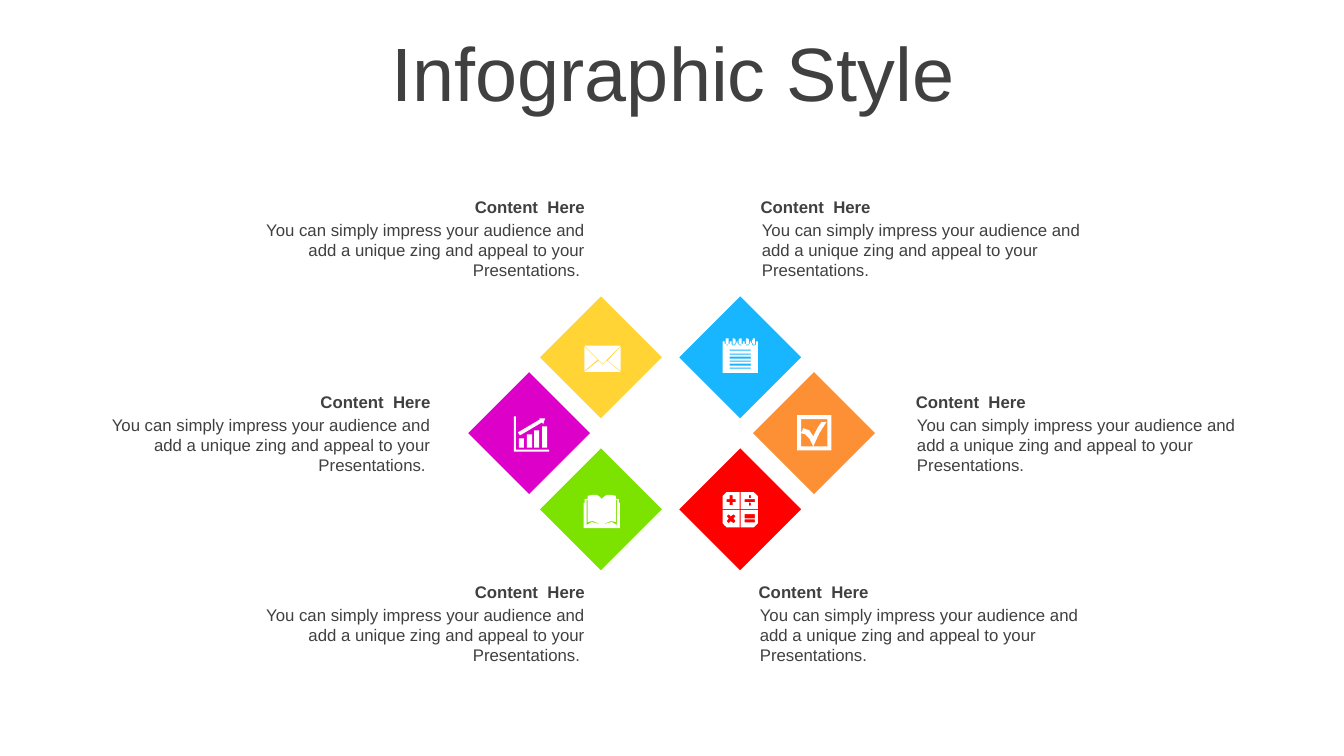
from math import cos, radians, sin

from pptx import Presentation
from pptx.dml.color import RGBColor
from pptx.enum.shapes import MSO_SHAPE
from pptx.enum.text import MSO_ANCHOR, PP_ALIGN
from pptx.util import Cm, Pt

DIAMOND = MSO_SHAPE.DIAMOND
TOP, MIDDLE = MSO_ANCHOR.TOP, MSO_ANCHOR.MIDDLE
LEFT, CENTER, RIGHT = PP_ALIGN.LEFT, PP_ALIGN.CENTER, PP_ALIGN.RIGHT

COLORS = {
    "ink": "404040", "white": "FFFFFF", "yellow": "FFD434", "blue": "17B6FF",
    "orange": "FD9034", "red": "FF0000", "green": "7CE200", "magenta": "DC00C8",
}
HEADING = "Content  Here"
BODY = ("You can simply impress your audience and add a unique zing "
        "and appeal to your Presentations.")
ICON_UNIT = Cm(2.54) / 100


def block(x, y, width, height):
    return [(x, y), (x + width, y), (x + width, y + height), (x, y + height)]


def arc(x, y, radius, start, sweep, steps=8):
    angles = [radians(start + sweep * step / steps) for step in range(steps + 1)]
    return [(x + radius * cos(angle), y + radius * sin(angle)) for angle in angles]


def envelope():
    return [
        [(22, 15), (36, 26), (0, 26), (14, 15), (18, 19)],
        [(36, 1), (36, 25), (23, 15)],
        [(0, 1), (13, 14), (0, 25)],
        [(0, 0), (36, 0), (18, 18)],
    ]


def notepad():
    ring_lefts = [3 + 6.6 * ring for ring in range(5)]
    sheet = [(0, 3)]
    for x in ring_lefts:
        sheet += [(x - 1, 3), *arc(x + 1.5, 4.5, 2.5, 180, -180), (x + 4, 3)]
    sheet += [(35, 3), (35, 34.5), (0, 34.5)]
    rings = [arc(x + 1.5, 1.5, 1.5, 180, 180) + arc(x + 1.5, 4.5, 1.5, 0, 180)
             for x in ring_lefts]
    rows = [block(7, 11 + 3.6 * row, 20.5, 1.4) for row in range(6)]
    return [sheet, *rings, *rows]


def bar_chart():
    bars = [block(5 + 7.7 * bar, 22 - 4 * bar, 5, 9 + 4 * bar) for bar in range(4)]
    arrow = [(25, 2), (31, 2), (29, 8), (28, 6), (6, 19), (4, 16), (26, 3)]
    axes = [(0, 0), (2, 0), (2, 33), (35, 33), (35, 35), (0, 35)]
    return [*bars, arrow, axes]


def calculator():
    key = arc(6, 6, 6, 180, 90) + [(17, 0), (17, 17), (0, 17)]
    keys = [[(35 - x if flip_x else x, 35 - y if flip_y else y) for x, y in key]
            for flip_x in (False, True) for flip_y in (False, True)]
    plus = [(7, 3), (10, 3), (10, 7), (13, 7), (13, 10), (10, 10),
            (10, 13), (7, 13), (7, 10), (4, 10), (4, 7), (7, 7)]
    times = [(6, 22), (4, 24), (6, 26.5), (4, 29), (6, 31), (8.5, 29),
             (11, 31), (13, 29), (11, 26.5), (13, 24), (11, 22), (8.5, 24)]
    divide = [block(22, 7, 10, 3), arc(27, 4.5, 1.5, 0, 360), arc(27, 12, 1.5, 0, 360)]
    equals = [block(22, 22, 10, 3.5), block(22, 27, 10, 3.5)]
    return [*keys, plus, times, *divide, *equals]


def book():
    half = [(18.3, 30), (24, 27.6), (28, 27.3), (33, 30), (33, 5), (32, 5),
            (32, 27), (27, 26.3), (22, 27.6), (18.3, 30), (18.3, 4), (20, 2),
            (23, 0.5), (27, 0), (32, 1), (32, 4), (35, 4), (35, 8), (36, 8), (36, 33)]
    return [half + [(36 - x, y) for x, y in reversed(half)]]


def checkbox():
    tick = [(4, 18), (6, 13), (12, 15), (16, 21), (20, 13), (24, 7), (29, 7),
            (22, 18), (16, 31), (12, 23), (8, 19)]
    return [block(0, 0, 34.5, 35), block(4, 4, 26.5, 27), tick]


class Infographic:
    """Draws styled elements on one slide."""

    def __init__(self, page, font="Arial"):
        self.page = page
        self.font = font

    def text(self, left, top, width, height, words, size=12, bold=False,
             align=LEFT, anchor=TOP, spacing=1.0):
        box = self.page.shapes.add_textbox(Cm(left), Cm(top), Cm(width), Cm(height))
        frame = box.text_frame
        frame.word_wrap = True
        frame.vertical_anchor = anchor
        para = frame.paragraphs[0]
        para.text = words
        para.alignment = align
        para.line_spacing = spacing
        para.font.name = self.font
        para.font.size = Pt(size)
        para.font.bold = bold
        para.font.color.rgb = RGBColor.from_string(COLORS["ink"])

    def paint(self, shape, color):
        shape.shadow.inherit = False
        shape.fill.solid()
        shape.fill.fore_color.rgb = RGBColor.from_string(COLORS[color])
        shape.line.fill.background()

    def diamond(self, left, top, color):
        side = Cm(3.07)
        shape = self.page.shapes.add_shape(DIAMOND, Cm(left), Cm(top), side, side)
        self.paint(shape, color)

    def icon(self, left, top, outlines):
        first, *others = outlines
        builder = self.page.shapes.build_freeform(*first[0], scale=ICON_UNIT)
        builder.add_line_segments(first[1:], close=True)
        for outline in others:
            builder.move_to(*outline[0])
            builder.add_line_segments(outline[1:], close=True)
        self.paint(builder.convert_to_shape(Cm(left), Cm(top)), "white")

    def card(self, left, top, align):
        body = BODY + " " if align == RIGHT else BODY
        self.text(left, top, 8.97, 0.76, HEADING, bold=True, align=align, anchor=MIDDLE)
        self.text(left + 0.03, top + 0.58, 8.94, 1.8, body, align=align)


def main():
    deck = Presentation()
    deck.slide_width, deck.slide_height = Cm(33.87), Cm(19.05)
    slide = Infographic(deck.slides.add_slide(deck.slide_layouts[6]))

    slide.text(0.89, 0.94, 32.16, 2.01, "Infographic Style", size=54,
               align=CENTER, anchor=MIDDLE, spacing=0.9)

    upper, center, lower = 7.47, 9.38, 11.3
    for left, top, color in [
        (13.61, upper, "yellow"), (17.12, upper, "blue"), (18.98, center, "orange"),
        (17.12, lower, "red"), (13.61, lower, "green"), (11.8, center, "magenta"),
    ]:
        slide.diamond(left, top, color)

    for left, top, align in [
        (6.02, 4.83, RIGHT), (2.13, 9.75, RIGHT), (6.02, 14.53, RIGHT),
        (18.92, 4.83, LEFT), (22.83, 9.75, LEFT), (18.87, 14.53, LEFT),
    ]:
        slide.card(left, top, align)

    for left, top, outlines in [
        (14.73, 8.71, envelope()), (18.21, 8.53, notepad()),
        (12.95, 10.49, bar_chart()), (18.21, 12.4, calculator()),
        (14.71, 12.47, book()), (20.09, 10.46, checkbox()),
    ]:
        slide.icon(left, top, outlines)

    deck.save("out.pptx")


if __name__ == "__main__":
    main()
